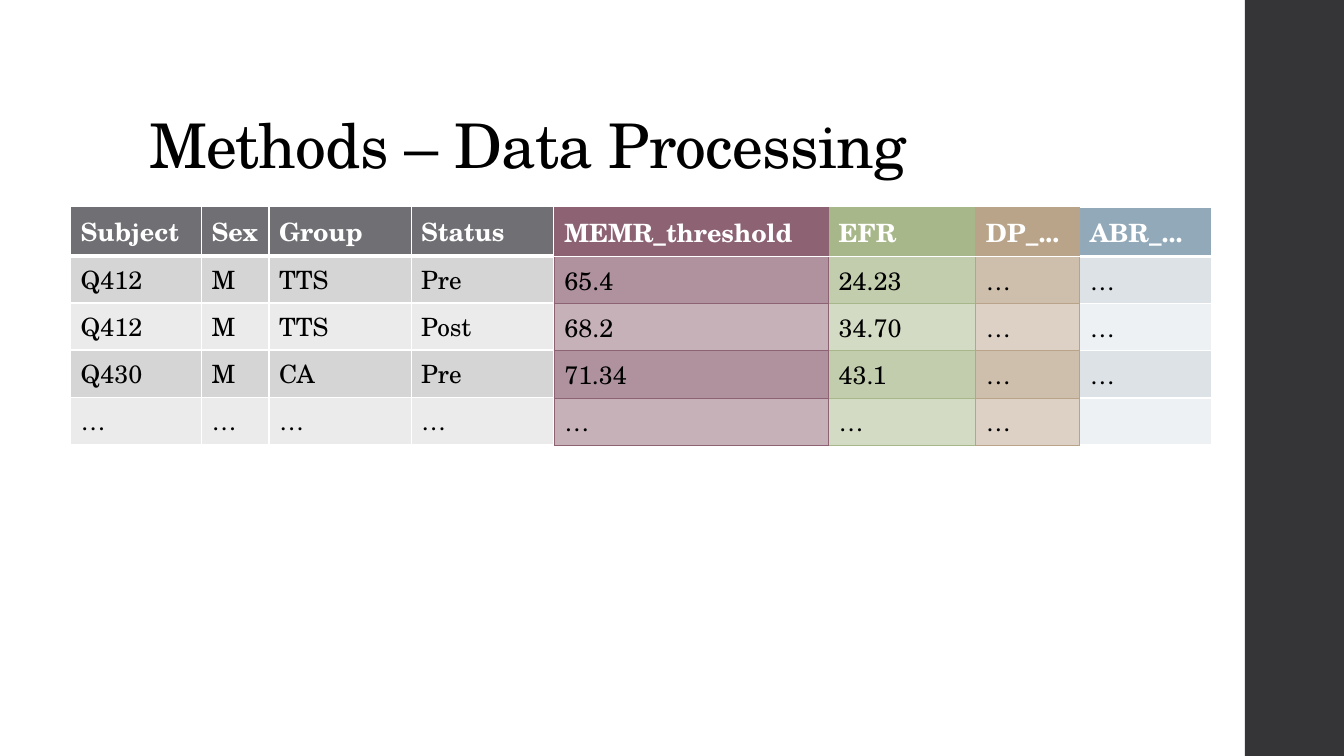
from lxml.etree import SubElement
from pptx import Presentation
from pptx.dml.color import RGBColor as Rgb
from pptx.enum.shapes import MSO_SHAPE as Shape
from pptx.enum.text import MSO_ANCHOR as Anchor
from pptx.oxml.ns import qn
from pptx.util import Cm, Pt

FONT = "TeX Gyre Schola"
COLORS = {
    "white": "FFFFFF", "black": "000000", "sidebar": "353537",
    "subject": "6F6F74", "subject_odd": "D5D5D6", "subject_even": "EBEBEB",
    "memr": "8D6374", "memr_odd": "AF929E", "memr_even": "C6B1B9",
    "efr": "A7B789", "efr_odd": "C1CDAC", "efr_even": "D3DBC4",
    "dp": "B9A489", "dp_odd": "CEBFAC", "dp_even": "DCD1C4",
    "abr": "92A9B9", "abr_odd": "DCE2E6", "abr_even": "EEF1F3",
}
TITLE_FORMAT = {"name": FONT, "size": Pt(44), "bold": False}
HEADER_FORMAT = {"name": FONT, "size": Pt(18), "bold": True}
BODY_FORMAT = {**HEADER_FORMAT, "bold": False}
SUBJECT_ROWS = [
    ["Subject", "Sex", "Group", "Status"],
    ["Q412", "M", "TTS", "Pre"],
    ["Q412", "M", "TTS", "Post"],
    ["Q430", "M", "CA", "Pre"],
    ["…"] * 4,
]
MEASURES = [
    ("abr", 27.21, 3.33, ["ABR_...", "…", "…", "…", ""], "white", 1, 3),
    ("efr", 20.88, 3.73, ["EFR", "24.23", "34.70", "43.1", "…"], "efr", 0.75, 1.1),
    ("dp", 24.59, 2.62, ["DP_...", "…", "…", "…", "…"], "dp", 0.75, 1.1),
    ("memr", 13.97, 6.91, ["MEMR_threshold", "65.4", "68.2", "71.34", "…"], "memr", 0.75, 1.1),
]


def rgb(color):
    """Return the named colour."""
    return Rgb.from_string(COLORS[color])


def write(paragraph, text, color, formats):
    """Write formatted text, or keep the line height when it is empty."""
    if not text:
        end = paragraph._p.get_or_add_endParaRPr()
        end.set("sz", str(int(formats["size"].pt * 100)))
        SubElement(end, qn("a:latin"), typeface=formats["name"])
        return None
    run = paragraph.add_run()
    run.text = text
    for attribute, value in formats.items():
        setattr(run.font, attribute, value)
    run.font.color.rgb = rgb(color)
    return run


def set_borders(cell, borders):
    """Draw the four cell borders, ahead of the fill in the cell properties."""
    properties = cell._tc.get_or_add_tcPr()
    for position, (side, (color, width)) in enumerate(borders.items()):
        line = SubElement(properties, qn(f"a:ln{side}"), w=str(Pt(width)))
        solid = SubElement(line, qn("a:solidFill"))
        SubElement(solid, qn("a:srgbClr"), val=COLORS[color])
        properties.insert(position, line)


def add_data_table(slide, left, top, widths, heights, rows, theme, edge, header_rule):
    """Add a banded table with a ruled header."""
    table = slide.shapes.add_table(
        len(rows), len(widths), Cm(left), Cm(top), Cm(sum(widths)), Cm(sum(heights))
    ).table
    table.first_row = table.horz_banding = False
    for column, width in zip(table.columns, widths):
        column.width = Cm(width)
    for row, height in zip(table.rows, heights):
        row.height = Cm(height)
    for r, texts in enumerate(rows):
        header = r == 0
        fill = theme if header else f"{theme}_{'odd' if r % 2 else 'even'}"
        borders = {
            "L": edge, "R": edge,
            "T": header_rule if r == 1 else edge,
            "B": header_rule if header else edge,
        }
        for c, text in enumerate(texts):
            cell = table.cell(r, c)
            cell.fill.solid()
            cell.fill.fore_color.rgb = rgb(fill)
            set_borders(cell, borders)
            write(cell.text_frame.paragraphs[0], text,
                  "white" if header else "black",
                  HEADER_FORMAT if header else BODY_FORMAT)


def add_sidebar(slide):
    """Add the dark band along the right edge."""
    sidebar = slide.shapes.add_shape(Shape.RECTANGLE, Cm(31.37), 0, Cm(2.5), Cm(19.05))
    sidebar.shadow.inherit = False
    sidebar.fill.solid()
    sidebar.fill.fore_color.rgb = rgb("sidebar")
    sidebar.line.fill.background()


def add_title(slide, text):
    """Add the slide title, resting on the bottom of its box."""
    frame = slide.shapes.add_textbox(Cm(3.51), Cm(1.02), Cm(26.92), Cm(3.68)).text_frame
    for attribute, value in {"word_wrap": True, "vertical_anchor": Anchor.BOTTOM}.items():
        setattr(frame, attribute, value)
    paragraph = frame.paragraphs[0]
    paragraph.line_spacing = 0.9
    run = write(paragraph, text, "black", TITLE_FORMAT)
    run.font._element.set("spc", "-50")


def main():
    """Build and save the slide."""
    deck = Presentation()
    deck.slide_width, deck.slide_height = Cm(33.87), Cm(19.05)
    slide = deck.slides.add_slide(deck.slide_layouts[6])
    add_sidebar(slide)
    add_data_table(slide, 1.78, 5.21, [3.3, 1.7, 3.58, 3.58], [1.03] + [0.84] * 4,
                   SUBJECT_ROWS, "subject", ("white", 1), ("white", 3))
    for theme, left, width, texts, edge, edge_width, rule_width in MEASURES:
        add_data_table(slide, left, 5.23, [width], [1.03] * 5, [[text] for text in texts],
                       theme, (edge, edge_width), ("white", rule_width))
    add_title(slide, "Methods – Data Processing")
    deck.save("out.pptx")


if __name__ == "__main__":
    main()
